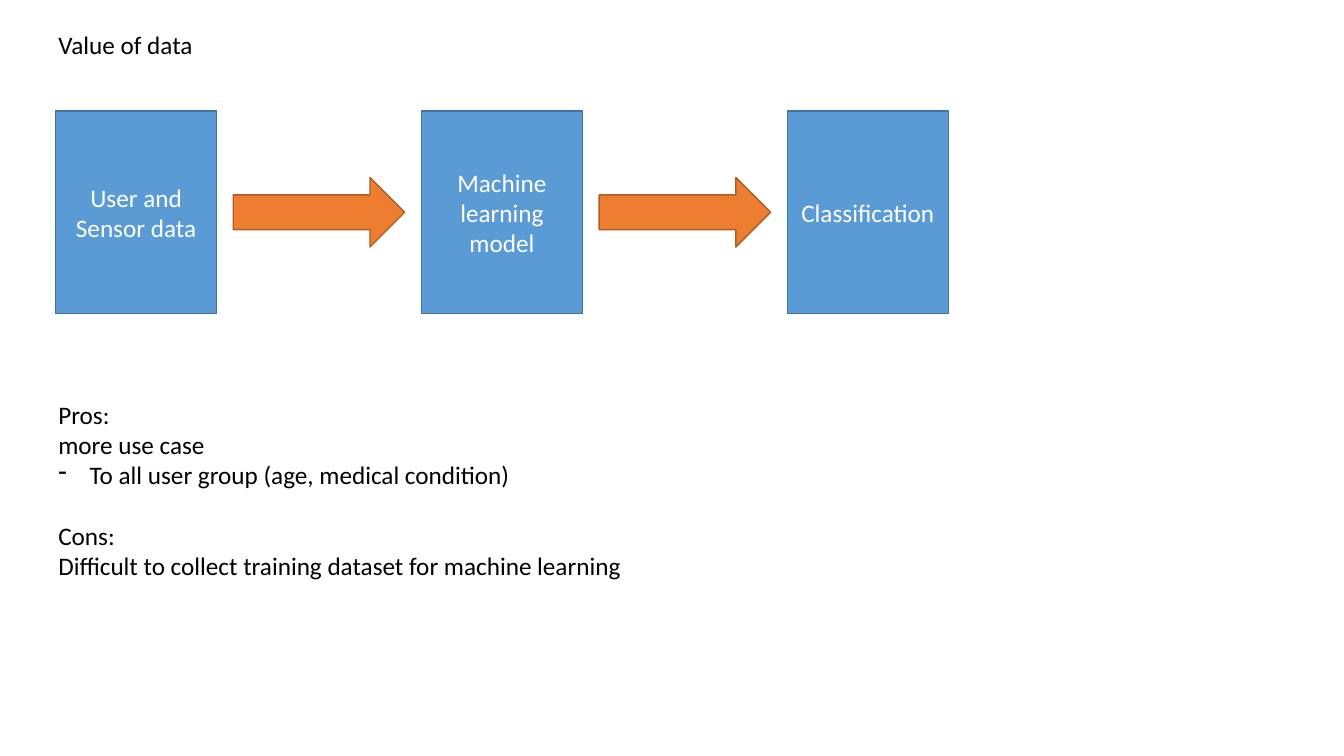
from lxml.etree import SubElement
from pptx import Presentation
from pptx.dml.color import RGBColor
from pptx.enum.shapes import MSO_SHAPE
from pptx.enum.text import MSO_ANCHOR, MSO_AUTO_SIZE, PP_ALIGN
from pptx.oxml.ns import qn
from pptx.util import Cm, Pt

BLACK = RGBColor(0x00, 0x00, 0x00)
WHITE = RGBColor(0xFF, 0xFF, 0xFF)
BLUE = RGBColor(0x5B, 0x9B, 0xD5)
DARK_BLUE = RGBColor(0x43, 0x73, 0x9E)
ORANGE = RGBColor(0xED, 0x7D, 0x31)
DARK_ORANGE = RGBColor(0xAF, 0x5C, 0x24)

FONT = {"name": "Calibri", "size": Pt(18)}
TEXT_FRAME = {"word_wrap": False, "vertical_anchor": MSO_ANCHOR.TOP,
              "auto_size": MSO_AUTO_SIZE.SHAPE_TO_FIT_TEXT}
BOX_FRAME = {"word_wrap": True, "vertical_anchor": MSO_ANCHOR.MIDDLE}

# Flow geometry in centimetres
FLOW_LEFT, STEP_PITCH = 1.4, 9.22
BOX_TOP, BOX_WIDTH, BOX_HEIGHT = 2.8, 4.06, 5.1
ARROW_WIDTH, ARROW_HEIGHT = 4.32, 1.75
TEXT_LEFT = 1.22

STEPS = ["User and Sensor data", "Machine learning model", "Classification"]
# Each note: text, whether it is a dash item, space before in points
NOTES = [
    ("Pros:", False, 0),
    ("more use case", False, 0),
    ("To all user group (age, medical condition)", True, 0),
    ("Cons:", False, 22),
    ("Difficult to collect training dataset for machine learning", False, 0),
]


def apply_format(target, values):
    for name, value in values.items():
        setattr(target, name, value)


def write_paragraph(paragraph, text, color, alignment=PP_ALIGN.LEFT):
    paragraph.text = text
    paragraph.alignment = alignment
    apply_format(paragraph.font, FONT)
    paragraph.font.color.rgb = color


def add_dash(paragraph):
    properties = paragraph._p.get_or_add_pPr()
    properties.set("marL", str(Cm(0.79)))
    properties.set("indent", str(-Cm(0.79)))
    SubElement(properties, qn("a:buChar")).set("char", "-")


def format_title(title, text):
    apply_format(title, {"left": Cm(TEXT_LEFT), "top": Cm(0.61),
                         "width": Cm(3.94), "height": Cm(1.02)})
    apply_format(title.text_frame, TEXT_FRAME)
    write_paragraph(title.text_frame.paragraphs[0], text, BLACK)


def add_block(slide, kind, left, top, width, height, fill, line):
    shape = slide.shapes.add_shape(kind, Cm(left), Cm(top), Cm(width), Cm(height))
    shape.shadow.inherit = False
    shape.fill.solid()
    shape.fill.fore_color.rgb = fill
    shape.line.color.rgb = line
    shape.line.width = Pt(1)
    return shape


def add_step(slide, left, text):
    box = add_block(slide, MSO_SHAPE.RECTANGLE, left, BOX_TOP,
                    BOX_WIDTH, BOX_HEIGHT, BLUE, DARK_BLUE)
    apply_format(box.text_frame, BOX_FRAME)
    write_paragraph(box.text_frame.paragraphs[0], text, WHITE, PP_ALIGN.CENTER)


def add_arrow(slide, box_left):
    # Centre the arrow in the gap after its box
    left = box_left + (STEP_PITCH + BOX_WIDTH - ARROW_WIDTH) / 2
    top = BOX_TOP + (BOX_HEIGHT - ARROW_HEIGHT) / 2
    add_block(slide, MSO_SHAPE.RIGHT_ARROW, left, top,
              ARROW_WIDTH, ARROW_HEIGHT, ORANGE, DARK_ORANGE)


def add_notes_text(slide, notes):
    text_box = slide.shapes.add_textbox(Cm(TEXT_LEFT), Cm(9.93), Cm(14.88), Cm(4.88))
    frame = text_box.text_frame
    apply_format(frame, TEXT_FRAME)
    for index, (text, is_dash, space) in enumerate(notes):
        paragraph = frame.add_paragraph() if index else frame.paragraphs[0]
        write_paragraph(paragraph, text, BLACK)
        paragraph.space_before = Pt(space)
        if is_dash:
            add_dash(paragraph)


def main():
    presentation = Presentation()
    presentation.slide_width = Cm(33.87)
    presentation.slide_height = Cm(19.05)
    slide = presentation.slides.add_slide(presentation.slide_layouts[5])

    format_title(slide.shapes.title, "Value of data")

    # Process flow: boxes with an arrow between neighbours
    lefts = [FLOW_LEFT + index * STEP_PITCH for index in range(len(STEPS))]
    for left, text in zip(lefts, STEPS):
        add_step(slide, left, text)
    for left in lefts[:-1]:
        add_arrow(slide, left)

    # Pros and cons
    add_notes_text(slide, NOTES)

    presentation.save("out.pptx")


main()
